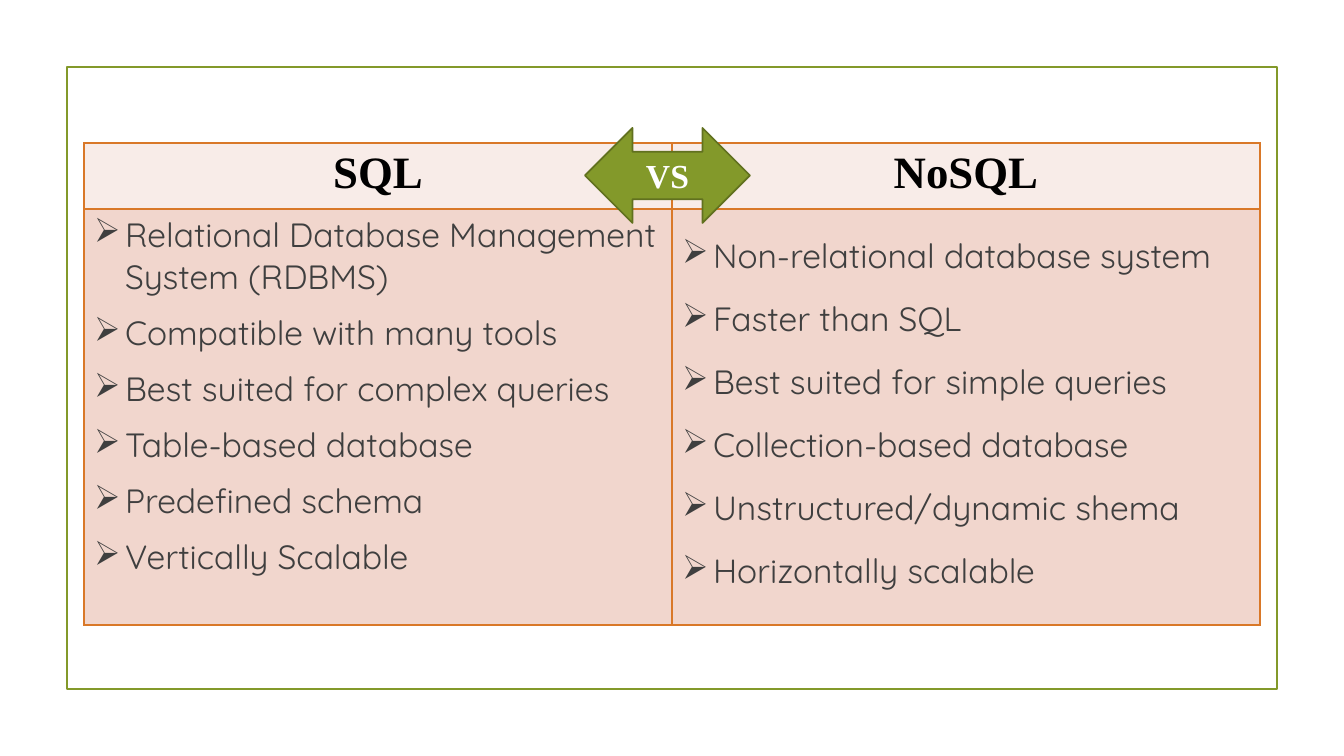
from lxml import etree
from pptx import Presentation
from pptx.dml.color import RGBColor
from pptx.enum.shapes import MSO_SHAPE
from pptx.enum.text import MSO_ANCHOR, PP_ALIGN
from pptx.oxml.ns import qn
from pptx.util import Emu, Pt

RECTANGLE, DOUBLE_ARROW = MSO_SHAPE.RECTANGLE, MSO_SHAPE.LEFT_RIGHT_ARROW
CENTER, LEFT, MIDDLE = PP_ALIGN.CENTER, PP_ALIGN.LEFT, MSO_ANCHOR.MIDDLE
PAGE_WIDTH, PAGE_HEIGHT = 1344, 756
EMU_PER_PX = 12192000 / PAGE_WIDTH

COLORS = {
    "green": "83992A", "dark_green": "61711F", "orange": "D97828",
    "header": "F8ECE8", "body": "F1D6CD",
    "black": "000000", "gray": "3F3F3F", "white": "FFFFFF",
}
SERIF, SANS = "Times New Roman", "Quicksand"
HEADER_HEIGHT, BULLET_INDENT = 66, 31

COLUMNS = [
    ("SQL", {"space_before": 10}, [
        "Relational Database Management System (RDBMS)",
        "Compatible with many tools",
        "Best suited for complex queries",
        "Table-based database",
        "Predefined schema",
        "Vertically Scalable",
    ]),
    ("NoSQL", {"line_spacing": 1.5}, [
        "Non-relational database system",
        "Faster than SQL",
        "Best suited for simple queries",
        "Collection-based database",
        "Unstructured/dynamic shema",
        "Horizontally scalable",
    ]),
]


def px(length):
    return Emu(round(length * EMU_PER_PX))


def rgb(name):
    return RGBColor.from_string(COLORS[name])


def write(para, text, size, font, color, bold=False, align=LEFT,
          space_before=0, line_spacing=None, bullet=None):
    span = para.add_run()
    span.text = text
    span.font.size = Pt(size)
    span.font.name = font
    span.font.bold = bold
    span.font.color.rgb = rgb(color)
    para.alignment = align
    para.space_before = Pt(space_before)
    if line_spacing:
        para.line_spacing = line_spacing
    if bullet:
        properties = para._p.get_or_add_pPr()
        properties.set("marL", str(px(BULLET_INDENT)))
        properties.set("indent", str(-px(BULLET_INDENT)))
        etree.SubElement(properties, qn("a:buChar")).set("char", bullet)


def add_box(page, kind, box, fill, line):
    shape = page.shapes.add_shape(kind, *map(px, box))
    shape.shadow.inherit = False
    if fill:
        shape.fill.solid()
        shape.fill.fore_color.rgb = rgb(fill)
    else:
        shape.fill.background()
    shape.line.color.rgb = rgb(line)
    shape.line.width = Pt(1.25)
    return shape


def paint_cell(cell, fill):
    cell.fill.solid()
    cell.fill.fore_color.rgb = rgb(fill)
    properties = cell._tc.get_or_add_tcPr()
    # Borders come before the fill
    for index, side in enumerate(("lnL", "lnR", "lnT", "lnB")):
        border = etree.Element(qn(f"a:{side}"), w=str(Pt(1)))
        solid = etree.SubElement(border, qn("a:solidFill"))
        etree.SubElement(solid, qn("a:srgbClr")).set("val", COLORS["orange"])
        properties.insert(index, border)


def add_comparison(page, box):
    left, top, width, height = box
    table = page.shapes.add_table(2, len(COLUMNS), *map(px, box)).table
    table.first_row = table.horz_banding = False
    table.rows[0].height = px(HEADER_HEIGHT)
    table.rows[1].height = px(height - HEADER_HEIGHT)
    for index, (heading, spacing, points) in enumerate(COLUMNS):
        table.columns[index].width = px(width / len(COLUMNS))
        header, body = table.cell(0, index), table.cell(1, index)
        paint_cell(header, "header")
        paint_cell(body, "body")
        write(header.text_frame.paragraphs[0], heading, 32, SERIF, "black",
              bold=True, align=CENTER)
        frame = body.text_frame
        for number, point in enumerate(points):
            para = frame.add_paragraph() if number else frame.paragraphs[0]
            options = spacing if number else {**spacing, "space_before": 0}
            write(para, point, 24, SANS, "gray", bullet="➢", **options)


def add_versus_arrow(page, box):
    arrow = add_box(page, DOUBLE_ARROW, box, "green", "dark_green")
    frame = arrow.text_frame
    frame.vertical_anchor = MIDDLE
    write(frame.paragraphs[0], "VS", 24, SERIF, "white", bold=True, align=CENTER)


def main():
    deck = Presentation()
    deck.slide_width, deck.slide_height = px(PAGE_WIDTH), px(PAGE_HEIGHT)
    page = deck.slides.add_slide(deck.slide_layouts[6])
    # Page frame
    add_box(page, RECTANGLE, (67, 67, 1210, 622), None, "green")
    # Comparison table with the arrow across its header
    add_comparison(page, (84, 143, 1176, 482))
    add_versus_arrow(page, (585, 128, 165, 95))
    deck.save("out.pptx")


if __name__ == "__main__":
    main()
